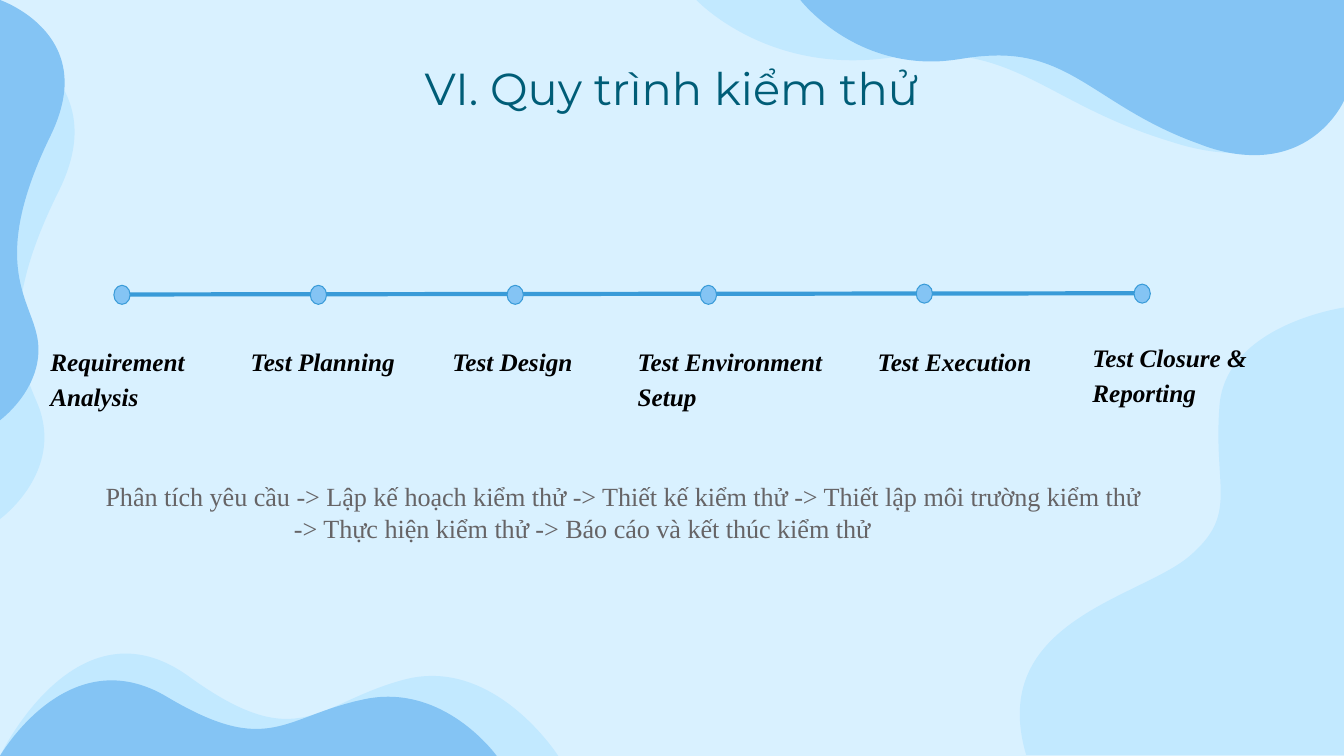
"""Builds the slide on the software testing process."""
from dataclasses import dataclass

from lxml.etree import SubElement
from pptx import Presentation
from pptx.dml.color import RGBColor
from pptx.enum.shapes import MSO_CONNECTOR, MSO_SHAPE
from pptx.enum.text import PP_ALIGN
from pptx.oxml.ns import qn
from pptx.util import Cm, Pt


@dataclass(frozen=True)
class Theme:
    """Colours, fonts and type sizes of the slide."""
    background: str = "D9F1FF"
    light_wave: str = "C2E9FF"
    deep_wave: str = "84C4F4"
    line: str = "399BD8"
    title: str = "005D77"
    label: str = "000000"
    body: str = "666466"
    title_font: str = "Montserrat"
    text_font: str = "Times New Roman"
    title_size: float = 32
    label_size: float = 18
    body_size: float = 18.67


THEME = Theme()

WAVES = [
    (THEME.light_wave, (33.87, 7.75), [
        (33.87, 7.75, 30.86, 8.18, 30.73, 10.26),
        (30.58, 12.34, 31.22, 12.95, 29.97, 14.02),
        (28.75, 15.06, 24.87, 15.65, 25.86, 19.02),
        (33.87, 19.02)]),
    (THEME.light_wave, (33.87, 0), [
        (33.87, 2.49),
        (33.87, 2.49, 33.17, 3.86, 31.19, 3.86),
        (30.71, 3.86, 30.15, 3.78, 29.54, 3.58),
        (26.67, 2.72, 25.78, 1.37, 23.5, 1.37),
        (23.19, 1.37, 22.83, 1.4, 22.45, 1.45),
        (22.12, 1.5, 21.79, 1.52, 21.49, 1.52),
        (18.97, 1.52, 17.55, 0, 17.55, 0)]),
    (THEME.deep_wave, (33.87, 0), [
        (33.87, 2.54),
        (33.87, 2.54, 33.27, 3.91, 31.62, 3.91),
        (31.22, 3.91, 30.76, 3.84, 30.23, 3.63),
        (27.81, 2.77, 27.08, 1.4, 25.17, 1.4),
        (24.92, 1.4, 24.61, 1.42, 24.31, 1.47),
        (24, 1.52, 23.75, 1.55, 23.47, 1.55),
        (21.36, 1.55, 20.17, 0, 20.17, 0)]),
    (THEME.light_wave, (14.07, 19.05), [
        (14.07, 19.05, 12.47, 16.54, 10.21, 17.12),
        (7.98, 17.7, 7.57, 19.08, 4.75, 17.04),
        (1.93, 15.01, 0, 19.05, 0, 19.05)]),
    (THEME.deep_wave, (12.52, 19.05), [
        (12.52, 19.05, 11.18, 17.17, 9.14, 17.63),
        (7.14, 18.06, 6.78, 19.08, 4.24, 17.58),
        (1.73, 16.05, 0, 19.05, 0, 19.05)]),
    (THEME.light_wave, (1.88, 3.33), [
        (1.88, 1.57, 0, 0.94, 0, 0.94),
        (0, 13.08),
        (0, 13.08, 1.12, 12.27, 1.12, 11.02),
        (1.12, 10.77, 1.07, 10.46, 0.94, 10.16),
        (0.71, 9.63, 0.48, 9.04, 0.48, 8.26),
        (0.48, 7.42, 0.71, 6.38, 1.45, 4.88),
        (1.75, 4.29, 1.88, 3.78, 1.88, 3.33)]),
    (THEME.deep_wave, (1.63, 2.08), [
        (1.63, 0.56, 0, 0, 0, 0),
        (0, 10.59),
        (0, 10.59, 0.97, 9.88, 0.97, 8.81),
        (0.97, 8.56, 0.91, 8.33, 0.81, 8.05),
        (0.64, 7.59, 0.43, 7.09, 0.43, 6.38),
        (0.43, 5.66, 0.64, 4.72, 1.27, 3.43),
        (1.52, 2.92, 1.63, 2.46, 1.63, 2.08)]),
]

STAGES = [
    ("Requirement Analysis", (2.87, 7.19), (1.02, 8.36, 4.67, 2.82)),
    ("Test Planning", (7.82, 7.19), (6.07, 8.36, 4.47, 2.82)),
    ("Test Design", (12.78, 7.19), (11.15, 8.36, 4.67, 1.27)),
    ("Test Environment Setup", (17.65, 7.19), (15.82, 8.36, 5.16, 2.16)),
    ("Test Execution", (23.09, 7.16), (21.87, 8.36, 8.33, 1.27)),
    ("Test Closure & Reporting", (28.58, 7.16), (27.28, 8.26, 4.67, 2.16)),
]

SUMMARY = [
    "Phân tích yêu cầu -> Lập kế hoạch kiểm thử -> Thiết kế kiểm thử -> Thiết lập môi trường kiểm thử",
    "-> Thực hiện kiểm thử -> Báo cáo và kết thúc kiểm thử",
]


def bend(shape, segments):
    """Turn each run of three lines that stands for a curve into a cubic curve."""
    lines = iter(list(shape._element.iter(qn("a:lnTo"))))
    for segment in segments:
        first = next(lines)
        if len(segment) == 6:
            first.tag = qn("a:cubicBezTo")
            for _ in range(2):
                extra = next(lines)
                first.append(extra[0])
                extra.getparent().remove(extra)


class SlideBuilder:
    """Draws styled elements on the current slide."""

    def __init__(self, page, theme):
        """Keep the page and theme and colour the background."""
        self.page, self.theme = page, theme
        self.paint(page.background.fill, theme.background)

    def paint(self, fill, color):
        """Give a fill one solid colour."""
        fill.solid()
        fill.fore_color.rgb = RGBColor.from_string(color)

    def wave(self, color, start, segments):
        """Draw a curved background outline."""
        points = [tuple(map(Cm, segment[at:at + 2]))
                  for segment in segments for at in range(0, len(segment), 2)]
        builder = self.page.shapes.build_freeform(*map(Cm, start))
        builder.add_line_segments(points, close=True)
        shape = builder.convert_to_shape()
        bend(shape, segments)
        shape.shadow.inherit = False
        self.paint(shape.fill, color)
        shape.line.fill.background()

    def timeline(self, start, end):
        """Draw the line that carries the stages."""
        line = self.page.shapes.add_connector(
            MSO_CONNECTOR.STRAIGHT, *map(Cm, start), *map(Cm, end))
        self.paint(line.line.fill, self.theme.line)
        line.line.width = Pt(3)
        SubElement(line._element.spPr, qn("a:effectLst"))

    def marker(self, left, top):
        """Draw a stage marker on the timeline."""
        marker = self.page.shapes.add_shape(
            MSO_SHAPE.FLOWCHART_CONNECTOR, Cm(left), Cm(top), Cm(0.41), Cm(0.48))
        marker.shadow.inherit = False
        self.paint(marker.fill, self.theme.deep_wave)
        self.paint(marker.line.fill, self.theme.line)
        marker.line.width = Pt(0.75)

    def text(self, lines, place, font, size, color, inset=0.25, strong=None,
             align=PP_ALIGN.LEFT, spacing=1.0, indents=(0, 0)):
        """Write paragraphs in a wrapping text box."""
        frame = self.page.shapes.add_textbox(*map(Cm, place)).text_frame
        frame.word_wrap = True
        frame.margin_left = frame.margin_right = Cm(inset)
        frame.margin_top = frame.margin_bottom = Cm(inset)
        frame.text = "\n".join(lines)
        for para, indent in zip(frame.paragraphs, indents):
            para.alignment, para.line_spacing = align, spacing
            para.font.name, para.font.size = font, Pt(size)
            para.font.bold = para.font.italic = strong
            para.font.color.rgb = RGBColor.from_string(color)
            if indent:
                para._p.get_or_add_pPr().set("marL", str(Cm(indent)))


def main():
    """Build and save the deck."""
    deck = Presentation()
    deck.slide_width, deck.slide_height = Cm(33.87), Cm(19.05)
    slide = SlideBuilder(deck.slides.add_slide(deck.slide_layouts[6]), THEME)
    for color, start, segments in WAVES:
        slide.wave(color, start, segments)
    slide.text(["VI. Quy trình kiểm thử"], (0.43, 1.19, 33, 1.93), THEME.title_font,
               THEME.title_size, THEME.title, inset=0.33, align=PP_ALIGN.CENTER)
    slide.timeline((2.95, 7.42), (28.6, 7.39))
    for name, spot, place in STAGES:
        slide.marker(*spot)
        slide.text([name], place, THEME.text_font, THEME.label_size, THEME.label,
                   strong=True, spacing=1.15)
    slide.text(SUMMARY, (2.41, 11.86, 27.58, 4.24), THEME.text_font,
               THEME.body_size, THEME.body, indents=(0, 4.75))
    deck.save("out.pptx")


if __name__ == "__main__":
    main()
